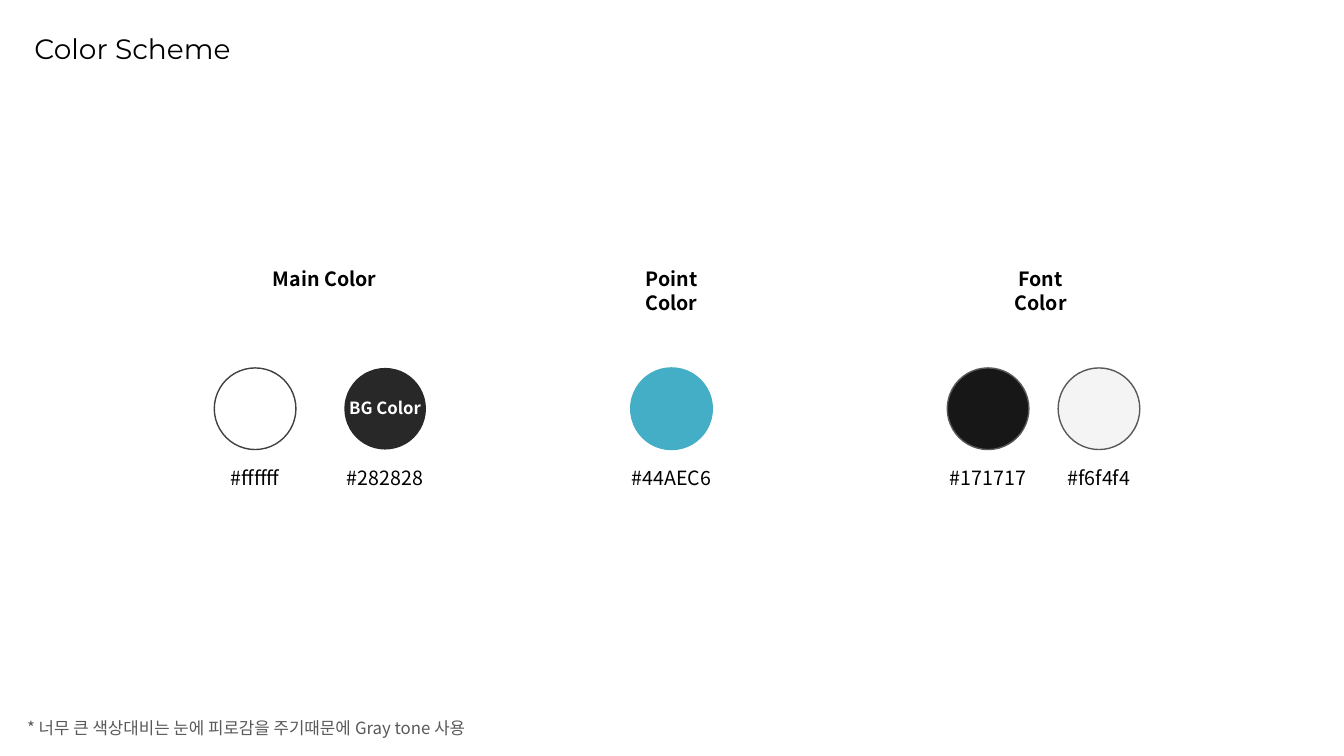
from lxml import etree
from pptx import Presentation
from pptx.dml.color import RGBColor
from pptx.enum.shapes import MSO_SHAPE
from pptx.enum.text import MSO_ANCHOR, PP_ALIGN
from pptx.oxml.ns import qn
from pptx.util import Inches, Pt

OVAL = MSO_SHAPE.OVAL
TOP = MSO_ANCHOR.TOP
LEFT, CENTER = PP_ALIGN.LEFT, PP_ALIGN.CENTER

BLACK = RGBColor(0x00, 0x00, 0x00)
WHITE = RGBColor(0xFF, 0xFF, 0xFF)
GRAY = RGBColor(0x59, 0x59, 0x59)
OUTLINE = RGBColor(0x40, 0x40, 0x40)
DARK = RGBColor(0x28, 0x28, 0x28)
POINT = RGBColor(0x44, 0xAE, 0xC6)
FONT_DARK = RGBColor(0x17, 0x17, 0x17)
FONT_LIGHT = RGBColor(0xF4, 0xF4, 0xF4)

TITLE_FONT = "Montserrat"
BODY_FONT = "Noto Sans CJK KR"

TITLE = "Color Scheme"
FOOTNOTE = "* 너무 큰 색상대비는 눈에 피로감을 주기때문에 Gray tone 사용"
HEADINGS = [
    ("Main Color", 3.22, 1.24, False),
    ("Point Color", 6.66, 1.1, True),
    ("Font Color", 10.32, 1.1, True),
]
SWATCHES = [
    ("#ffffff", 2.53, WHITE, OUTLINE, ""),
    ("#282828", 3.82, DARK, None, "BG Color"),
    ("#44AEC6", 6.66, POINT, POINT, ""),
    ("#171717", 9.8, FONT_DARK, GRAY, ""),
    ("#f6f4f4", 10.9, FONT_LIGHT, GRAY, ""),
]
HEADING_TOP, CIRCLE_TOP, CODE_TOP = 2.6, 3.65, 4.57
CIRCLE_SIZE, CODE_WIDTH = 0.81, 1.0


def style_text(shape, text, size, color, font_name, align, bold=False, wrap=False):
    frame = shape.text_frame
    frame.text = text
    frame.word_wrap = wrap
    frame.vertical_anchor = TOP
    paragraph = frame.paragraphs[0]
    paragraph.alignment = align
    for run in paragraph.runs:
        font = run.font
        font.name = font_name
        font.size = Pt(size)
        font.bold = bold
        font.color.rgb = color
        east_asian = etree.SubElement(font._element, qn("a:ea"))
        east_asian.set("typeface", font_name)


def add_label(slide, text, center, top, width, size, color, bold=False, wrap=False):
    box = slide.shapes.add_textbox(
        Inches(center - width / 2), Inches(top), Inches(width), Inches(0.34))
    style_text(box, text, size, color, BODY_FONT, CENTER, bold, wrap)


def add_swatch(slide, code, center, fill, line, caption):
    circle = slide.shapes.add_shape(
        OVAL, Inches(center - CIRCLE_SIZE / 2), Inches(CIRCLE_TOP),
        Inches(CIRCLE_SIZE), Inches(CIRCLE_SIZE))
    circle.shadow.inherit = False
    circle.fill.solid()
    circle.fill.fore_color.rgb = fill
    if line is None:
        circle.line.fill.background()
    else:
        circle.line.color.rgb = line
        circle.line.width = Pt(1)
    add_label(slide, code, center, CODE_TOP, CODE_WIDTH, 14, BLACK)
    if caption:
        add_label(slide, caption, center, CIRCLE_TOP + 0.25, 0.92, 12, WHITE, bold=True)


def main():
    presentation = Presentation()
    presentation.slide_width = Inches(13.33)
    presentation.slide_height = Inches(7.5)
    slide = presentation.slides.add_slide(presentation.slide_layouts[5])

    title = slide.shapes.title
    title.left, title.top = Inches(0.24), Inches(0.26)
    title.width, title.height = Inches(3.12), Inches(0.44)
    style_text(title, TITLE, 20, BLACK, TITLE_FONT, LEFT, wrap=True)

    for text, center, width, wrap in HEADINGS:
        add_label(slide, text, center, HEADING_TOP, width, 14, BLACK, bold=True, wrap=wrap)
    for swatch in SWATCHES:
        add_swatch(slide, *swatch)

    footnote = slide.shapes.add_textbox(
        Inches(0.17), Inches(7.07), Inches(5.09), Inches(0.3))
    style_text(footnote, FOOTNOTE, 12, GRAY, BODY_FONT, LEFT)

    presentation.save("out.pptx")


if __name__ == "__main__":
    main()
